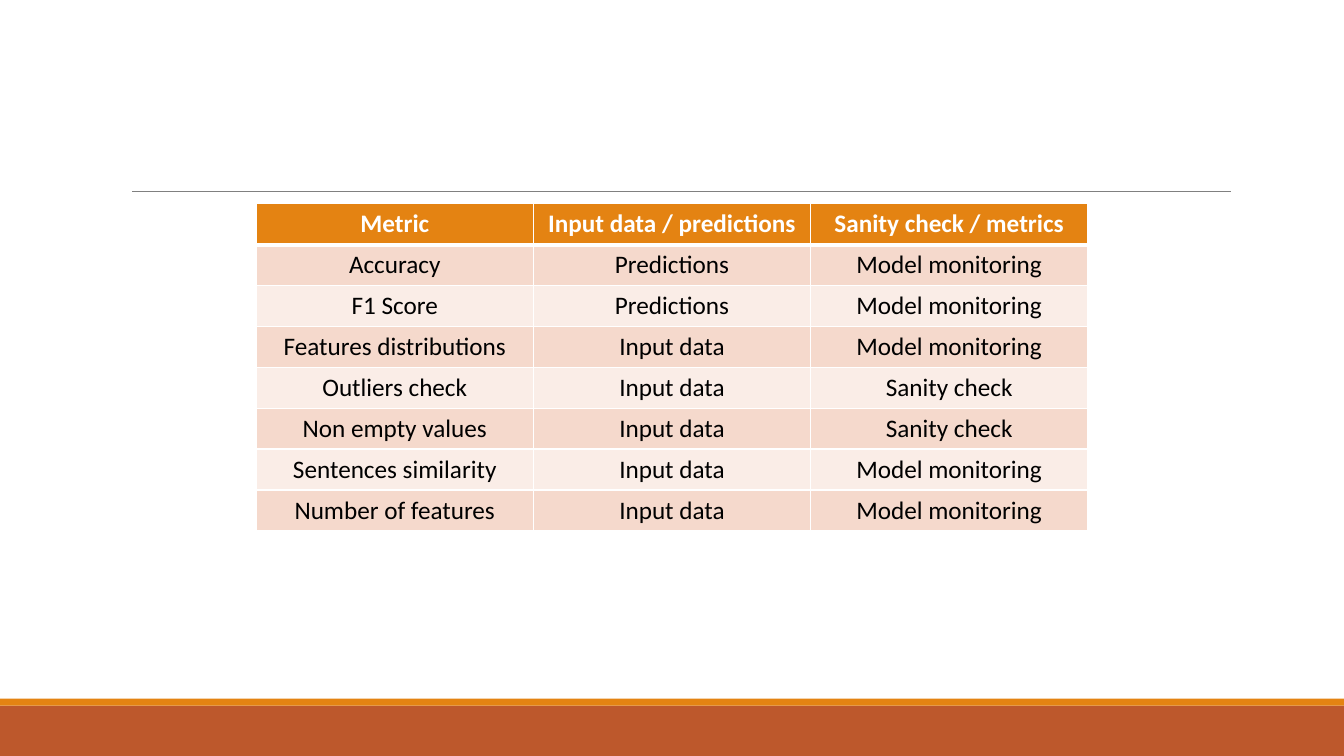
from lxml import etree
from pptx import Presentation
from pptx import util as u
from pptx.dml.color import RGBColor
from pptx.enum import shapes, text
from pptx.oxml import ns

# Content
ROWS = [
    ("Metric", "Input data / predictions", "Sanity check / metrics"),
    ("Accuracy", "Predictions", "Model monitoring"),
    ("F1 Score", "Predictions", "Model monitoring"),
    ("Features distributions", "Input data", "Model monitoring"),
    ("Outliers check", "Input data", "Sanity check"),
    ("Non empty values", "Input data", "Sanity check"),
    ("Sentences similarity", "Input data", "Model monitoring"),
    ("Number of features", "Input data", "Model monitoring"),
]

# Colours
WHITE = RGBColor(0xFF, 0xFF, 0xFF)
BLACK = RGBColor(0, 0, 0)
GREY = RGBColor(0x80, 0x80, 0x80)
ORANGE = RGBColor(0xE4, 0x83, 0x12)
RUST = RGBColor(0xBD, 0x58, 0x2C)
DARK = RGBColor(0xF5, 0xD9, 0xCC)
LIGHT = RGBColor(0xFA, 0xED, 0xE7)

# Layout in points
WIDE, HIGH = 960, 540
BANDS = [(504, 36, RUST), (499, 5, ORANGE)]
RULE = (94.5, 879, 136.8)
LEFT, TOP, COL, ROW = 183, 145.6, 198, 29.2
HEAD = {"size": u.Pt(18), "name": "Calibri", "bold": True}
BODY = {**HEAD, "bold": False}


def style(item, form):
    for key, value in form.items():
        setattr(item, key, value)


def edge(cell, side, width):
    """Draw one white cell border."""
    props = cell._tc.get_or_add_tcPr()
    line = etree.SubElement(props, ns.qn("a:ln" + side), w=str(u.Pt(width)))
    fill = etree.SubElement(line, ns.qn("a:solidFill"))
    etree.SubElement(fill, ns.qn("a:srgbClr"), val=str(WHITE))


def fill_cell(cell, words, row):
    # Borders come before the fill; the header has a thick lower edge
    widths = {"L": 1, "R": 1, "T": 3 if row == 1 else 1, "B": 3 if row == 0 else 1}
    for side, width in widths.items():
        edge(cell, side, width)
    cell.fill.solid()
    cell.fill.fore_color.rgb = ORANGE if row == 0 else DARK if row % 2 else LIGHT
    para = cell.text_frame.paragraphs[0]
    para.alignment = text.PP_ALIGN.CENTER
    run = para.add_run()
    run.text = words
    style(run.font, BODY if row else HEAD)
    run.font.color.rgb = BLACK if row else WHITE


def main():
    deck = Presentation()
    style(deck, {"slide_width": u.Pt(WIDE), "slide_height": u.Pt(HIGH)})
    slide = deck.slides.add_slide(deck.slide_layouts[6])

    # Footer bands
    for top, high, tint in BANDS:
        band = slide.shapes.add_shape(
            shapes.MSO_SHAPE.RECTANGLE, 0, u.Pt(top), u.Pt(WIDE), u.Pt(high))
        band.shadow.inherit = False
        band.fill.solid()
        band.fill.fore_color.rgb = tint
        band.line.fill.background()

    # Rule above the table
    start, end, level = map(u.Pt, RULE)
    rule = slide.shapes.add_connector(
        shapes.MSO_CONNECTOR.STRAIGHT, start, level, end, level)
    rule.line.width = u.Pt(0.5)
    rule.line.color.rgb = GREY
    etree.SubElement(rule._element.spPr, ns.qn("a:effectLst"))

    # Table of metrics
    cols = len(ROWS[0])
    table = slide.shapes.add_table(
        len(ROWS), cols, u.Pt(LEFT), u.Pt(TOP),
        u.Pt(COL * cols), u.Pt(ROW * len(ROWS))).table
    for column in table.columns:
        column.width = u.Pt(COL)
    for r, line in enumerate(ROWS):
        table.rows[r].height = u.Pt(ROW)
        for c, words in enumerate(line):
            fill_cell(table.cell(r, c), words, r)

    deck.save("out.pptx")


if __name__ == "__main__":
    main()
